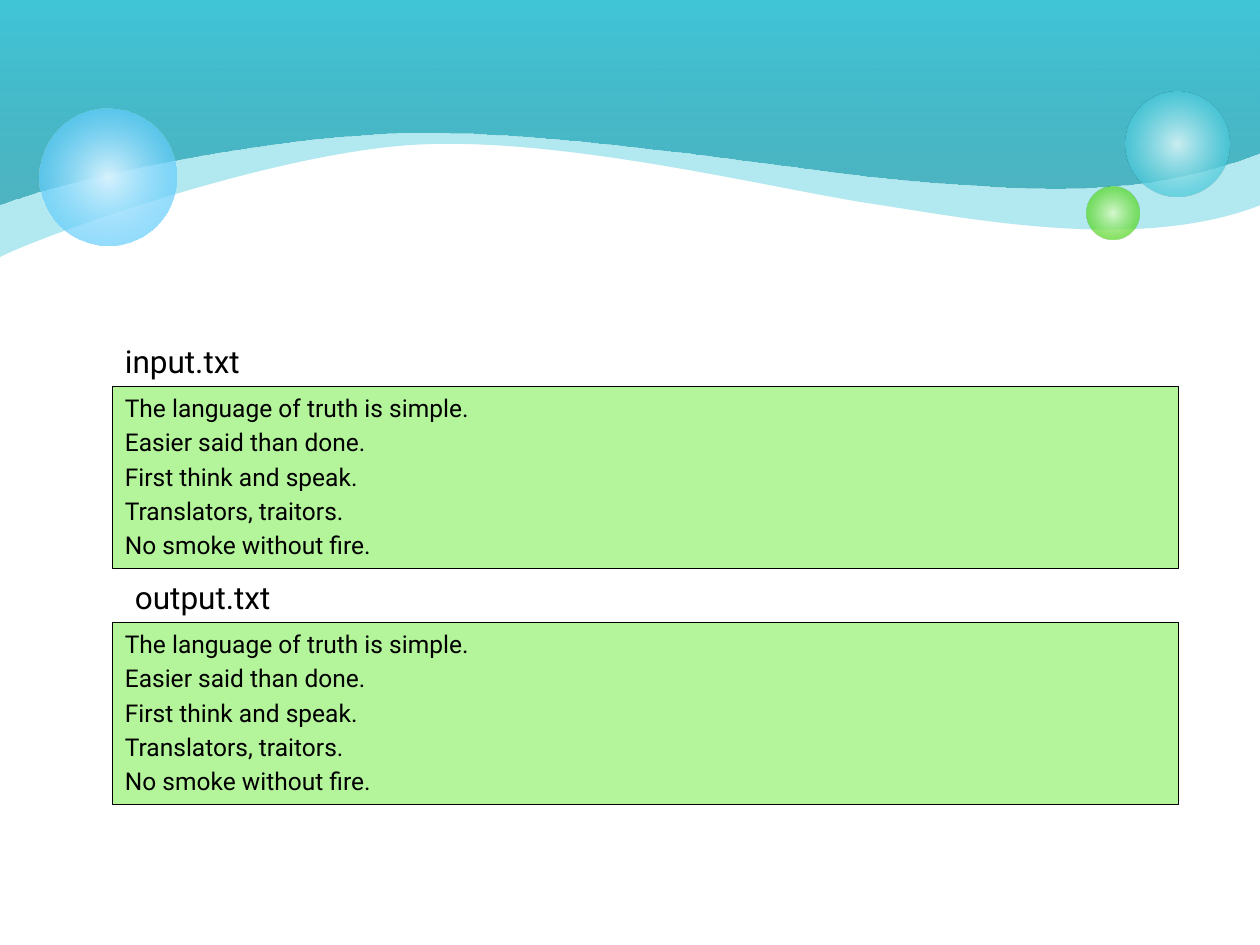
from dataclasses import dataclass
from lxml.etree import SubElement
from pptx import Presentation
from pptx.dml.color import RGBColor
from pptx.enum.shapes import MSO_SHAPE
from pptx.enum.text import MSO_ANCHOR, MSO_AUTO_SIZE, PP_ALIGN
from pptx.oxml.ns import qn
from pptx.util import Inches, Pt


@dataclass(frozen=True)
class Theme:
    font: str = "Roboto"
    ink: str = "000000"
    panel: str = "B4F59B"
    label_size: int = 18
    body_size: int = 14
    body_gap: float = 2.8
    pale: tuple = ((0, "40C6D8", 40),)
    deep: tuple = ((0, "249EAE", 69), (100, "40C6D8", 100))
    teal: tuple = ((0, "D9F4F7", 90), (76, "40C6D8", 70))
    green: tuple = ((0, "DAFACD", 90), (76, "4CD416", 70))
    blue: tuple = ((0, "D6F2FE", 100), (100, "33BDFB", 54))


THEME = Theme()
COLS, ROWS = 100, 75
CELL = Inches(0.1)

LINES = [
    "The language of truth is simple.",
    "Easier said than done.",
    "First think and speak.",
    "Translators, traitors.",
    "No smoke without fire.",
]

BACK = [
    (0, 5.4), (0, 15), (0, 20.4),
    (3.3, 18.7), (21.4, 12.2), (32.8, 11.5),
    (44.3, 10.8), (60.6, 14.8), (68.7, 16.1),
    (76.8, 17.3), (90.2, 20.1), (100, 16.3),
]
FRONT = [
    (0, 5.4), (0, 10.8), (0, 16.2),
    (4.5, 14.4), (20.3, 10.8), (32.6, 10.5),
    (44.9, 10.2), (65.8, 13.9), (73.7, 14.4),
    (81.6, 14.9), (90.2, 15.9), (100, 12.1),
]


def grid(*cells):
    return [round(cell * CELL) for cell in cells]


def tint(parent, color, alpha):
    node = SubElement(parent, qn("a:srgbClr"), val=color)
    SubElement(node, qn("a:alpha"), val=str(alpha * 1000))


def paint(shape, stops, round_fill=False):
    shape.shadow.inherit = False
    shape.line.fill.background()
    if len(stops) == 1:
        shape.fill.solid()
        fill = shape.element.xpath(".//p:spPr/a:solidFill")[0]
        tint(fill, *stops[0][1:])
        return
    shape.fill.gradient()
    fill = shape.element.xpath(".//p:spPr/a:gradFill")[0]
    for child in list(fill):
        fill.remove(child)
    group = SubElement(fill, qn("a:gsLst"))
    for place, color, alpha in stops:
        stop = SubElement(group, qn("a:gs"), pos=str(place * 1000))
        tint(stop, color, alpha)
    if round_fill:
        ring = SubElement(fill, qn("a:path"))
        ring.set("path", "circle")
        SubElement(ring, qn("a:fillToRect"), l="50000", t="50000", r="50000", b="50000")
    else:
        SubElement(fill, qn("a:lin"), ang="16200000", scaled="0")


def write(shape, lines, *, size, gap=0, wrap=True, fit=MSO_AUTO_SIZE.NONE):
    frame = shape.text_frame
    frame.word_wrap = wrap
    frame.auto_size = fit
    frame.vertical_anchor = MSO_ANCHOR.TOP
    for count, line in enumerate(lines):
        para = frame.add_paragraph() if count else frame.paragraphs[0]
        para.alignment = PP_ALIGN.LEFT
        para.space_before = Pt(gap)
        run = para.add_run()
        run.text = line
        run.font.name = THEME.font
        run.font.size = Pt(size)
        run.font.color.rgb = RGBColor.from_string(THEME.ink)


def curve(shape, count):
    sides = shape.element.xpath(".//a:lnTo")[:count]
    for first in range(0, count, 3):
        lead, *rest = sides[first:first + 3]
        lead.tag = qn("a:cubicBezTo")
        for side in rest:
            lead.append(side[0])
            side.getparent().remove(side)


def bend(shape, count):
    outline = shape.element.xpath(".//a:pathLst/a:path")[0]
    sides = shape.element.xpath(".//a:lnTo")[:count]
    for first in range(0, count, 3):
        group = sides[first:first + 3]
        arc = SubElement(outline, qn("a:cubicBezTo"))
        group[0].addprevious(arc)
        for side in group:
            arc.append(side[0])
            outline.remove(side)


def wave(slide, box, knots, stops):
    left, top, width = box
    points = [*knots, (width + 0.1, 0)]
    pen = slide.shapes.build_freeform(*grid(left, top))
    pen.add_line_segments([grid(left + x, top + y) for x, y in points], close=True)
    shape = pen.convert_to_shape()
    bend(shape, len(knots))
    paint(shape, stops)


def bubble(slide, box, stops):
    left, top, size = box
    ball = slide.shapes.add_shape(MSO_SHAPE.OVAL, *grid(left, top, size, size))
    paint(ball, stops, round_fill=True)


def banner(slide, box):
    left, top, width = box
    wave(slide, box, BACK, THEME.pale)
    wave(slide, box, FRONT, THEME.deep)
    for x, y, size, stops in (
        (89.3, 7.3, 8.3, THEME.teal),
        (86.2, 14.8, 4.2, THEME.green),
        (3.1, 8.6, 10.9, THEME.blue),
    ):
        bubble(slide, (left + x, top + y, size), stops)


def panel(slide, box, name, lines, shift, span):
    left, top, width, height = box
    head = 4.05
    body = slide.shapes.add_shape(
        MSO_SHAPE.RECTANGLE, *grid(left, top + head, width, height - head))
    body.shadow.inherit = False
    body.fill.solid()
    body.fill.fore_color.rgb = RGBColor.from_string(THEME.panel)
    body.line.color.rgb = RGBColor.from_string(THEME.ink)
    body.line.width = Pt(0.75)
    write(body, lines, size=THEME.body_size, gap=THEME.body_gap)
    label = slide.shapes.add_textbox(*grid(left + shift, top, span, 4))
    write(label, [name], size=THEME.label_size, wrap=False,
          fit=MSO_AUTO_SIZE.SHAPE_TO_FIT_TEXT)


def main():
    deck = Presentation()
    deck.slide_width, deck.slide_height = grid(COLS, ROWS)
    slide = deck.slides.add_slide(deck.slide_layouts[6])
    banner(slide, (0, 0, COLS))
    files = (("input.txt", 0, 11.3), ("output.txt", 0.8, 13))
    for row, (name, shift, span) in enumerate(files):
        panel(slide, (8.93, 26.65 + 18.73 * row, 84.6, 18.5), name, LINES, shift, span)
    deck.save("out.pptx")


if __name__ == "__main__":
    main()
